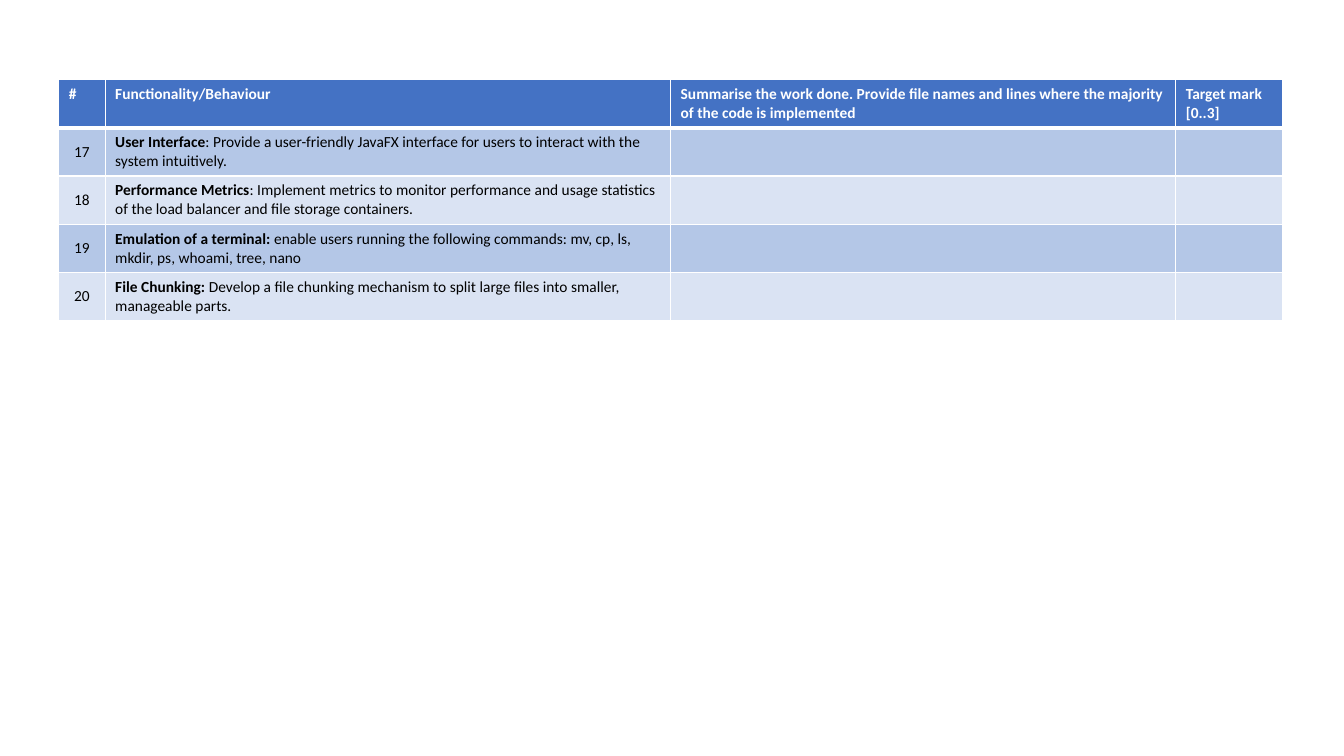
from typing import NamedTuple

from lxml.etree import SubElement
from pptx import Presentation
from pptx.dml.color import RGBColor as Rgb
from pptx.enum.text import MSO_ANCHOR as Anchor, PP_ALIGN as Align
from pptx.oxml.ns import qn
from pptx.table import Table, _Cell as Cell
from pptx.util import Cm, Pt

INK = {
    "head": "4472C4",
    "dark": "B4C7E7",
    "light": "DAE3F3",
    "white": "FFFFFF",
    "black": "000000",
}
THIN, THICK = Pt(0.96), Pt(3)
WIDTHS = (1.17, 14.25, 12.73, 2.7)


class Task(NamedTuple):
    name: str
    text: str


HEADS = (
    "#",
    "Functionality/Behaviour",
    "Summarise the work done. Provide file names and lines where the majority of the code is implemented",
    "Target mark [0..3]",
)
FIRST = 17
TASKS = (
    Task("User Interface", ": Provide a user-friendly JavaFX interface for users to interact with the system intuitively."),
    Task("Performance Metrics", ": Implement metrics to monitor performance and usage statistics of the load balancer and file storage containers."),
    Task("Emulation of a terminal:", " enable users running the following commands: mv, cp, ls, mkdir, ps, whoami, tree, nano"),
    Task("File Chunking: ", "Develop a file chunking mechanism to split large files into smaller, manageable parts."),
)


def edge(cell: Cell, top: int, base: int) -> None:
    props = cell._tc.get_or_add_tcPr()
    for side, width in (("L", THIN), ("R", THIN), ("T", top), ("B", base)):
        line = SubElement(props, qn(f"a:ln{side}"), w=str(int(width)))
        fill = SubElement(line, qn("a:solidFill"))
        SubElement(fill, qn("a:srgbClr"), val=INK["white"])


def style(cell: Cell, row: int) -> None:
    edge(cell, THICK if row == 1 else THIN, THICK if row == 0 else THIN)
    shade = "head" if row == 0 else "dark" if row % 2 else "light"
    cell.fill.solid()
    cell.fill.fore_color.rgb = Rgb.from_string(INK[shade])
    font = cell.text_frame.paragraphs[0].font
    font.name, font.size = "Calibri", Pt(11)
    font.color.rgb = Rgb.from_string(INK["black" if row else "white"])
    font.bold = row == 0


def fill_task(grid: Table, row: int, task: Task) -> None:
    label = grid.cell(row, 0)
    label.text = str(FIRST + row - 1)
    label.vertical_anchor = Anchor.MIDDLE
    label.text_frame.paragraphs[0].alignment = Align.CENTER
    para = grid.cell(row, 1).text_frame.paragraphs[0]
    name = para.add_run()
    name.text = task.name
    name.font.bold = True
    para.add_run().text = task.text


def main() -> None:
    deck = Presentation()
    deck.slide_width, deck.slide_height = Cm(33.87), Cm(19.05)
    slide = deck.slides.add_slide(deck.slide_layouts[6])
    grid = slide.shapes.add_table(
        len(TASKS) + 1, len(HEADS), Cm(1.48), Cm(2.01), Cm(sum(WIDTHS)), Cm(5.2)
    ).table
    for col, (head, width) in enumerate(zip(HEADS, WIDTHS)):
        grid.columns[col].width = Cm(width)
        grid.cell(0, col).text = head
    for row, task in enumerate(TASKS, 1):
        fill_task(grid, row, task)
    for row, line in enumerate(grid.rows):
        for cell in line.cells:
            style(cell, row)
    deck.save("out.pptx")


if __name__ == "__main__":
    main()
